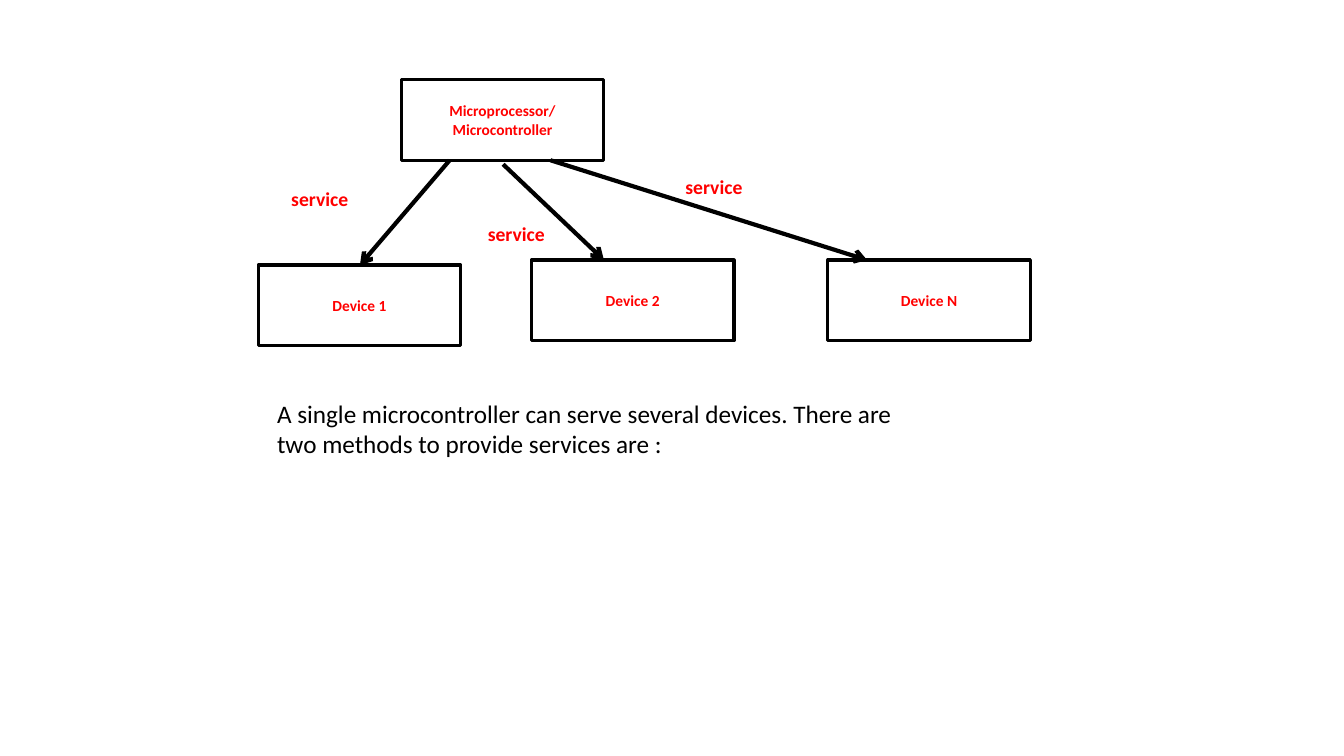
import pptx
import pptx.dml.color
import pptx.enum.shapes
import pptx.enum.text
import pptx.oxml
import pptx.oxml.ns
import pptx.util

PX = 9144  # 100 px to the inch
BLACK = "000000"
RED = "FF0000"
BLOCK_WIDTH, BLOCK_HEIGHT = 201, 80


def px(*lengths):
    return [pptx.util.Emu(length * PX) for length in lengths]


def color(hex_string):
    return pptx.dml.color.RGBColor.from_string(hex_string)


def write(shape, text, size, hex_string, bold=False):
    frame = shape.text_frame
    frame.word_wrap = True
    para = frame.paragraphs[0]
    para.text = text
    para.font.name = "Calibri"
    para.font.size = pptx.util.Pt(size)
    para.font.bold = bold
    para.font.color.rgb = color(hex_string)
    return para


def add_block(page, left, top, text):
    block = page.shapes.add_shape(
        pptx.enum.shapes.MSO_SHAPE.RECTANGLE,
        *px(left, top, BLOCK_WIDTH, BLOCK_HEIGHT))
    block.shadow.inherit = False
    block.fill.background()
    block.line.color.rgb = color(BLACK)
    block.line.width = pptx.util.Pt(2.25)
    block.text_frame.vertical_anchor = pptx.enum.text.MSO_ANCHOR.MIDDLE
    para = write(block, text, 11, RED, bold=True)
    para.alignment = pptx.enum.text.PP_ALIGN.CENTER


def add_arrow(page, start, end):
    arrow = page.shapes.add_connector(
        pptx.enum.shapes.MSO_CONNECTOR.STRAIGHT, *px(*start, *end))
    arrow.line.color.rgb = color(BLACK)
    arrow.line.width = pptx.util.Pt(3)
    # Open arrowhead at the end, no shadow
    namespace = pptx.oxml.ns.nsdecls("a")
    arrow.line._get_or_add_ln().append(
        pptx.oxml.parse_xml(f'<a:tailEnd {namespace} type="arrow"/>'))
    arrow._element.spPr.append(
        pptx.oxml.parse_xml(f"<a:effectLst {namespace}/>"))


def add_text(page, bounds, text, size, hex_string, bold=False):
    box = page.shapes.add_textbox(*px(*bounds))
    write(box, text, size, hex_string, bold)


def main():
    deck = pptx.Presentation()
    deck.slide_width, deck.slide_height = px(1333, 750)
    page = deck.slides.add_slide(deck.slide_layouts[6])

    # Controller and devices
    for left, top, text in [
        (398, 79, "Microprocessor/ Microcontroller"),
        (256, 263, "Device 1"),
        (527, 258, "Device 2"),
        (821, 258, "Device N"),
    ]:
        add_block(page, left, top, text)

    # Service arrows and their labels
    for start, end, label in [
        ((446, 159), (357, 263), (279, 181)),
        ((499, 163), (599, 258), (474, 215)),
        ((546, 159), (860, 258), (670, 169)),
    ]:
        add_arrow(page, start, end)
        add_text(page, (*label, 156, 40), "service", 14, RED, bold=True)

    # Explanation
    add_text(page, (265, 390, 667, 71),
             "A single microcontroller can serve several devices. "
             "There are two methods to provide services are :", 18, BLACK)

    deck.save("out.pptx")


if __name__ == "__main__":
    main()
